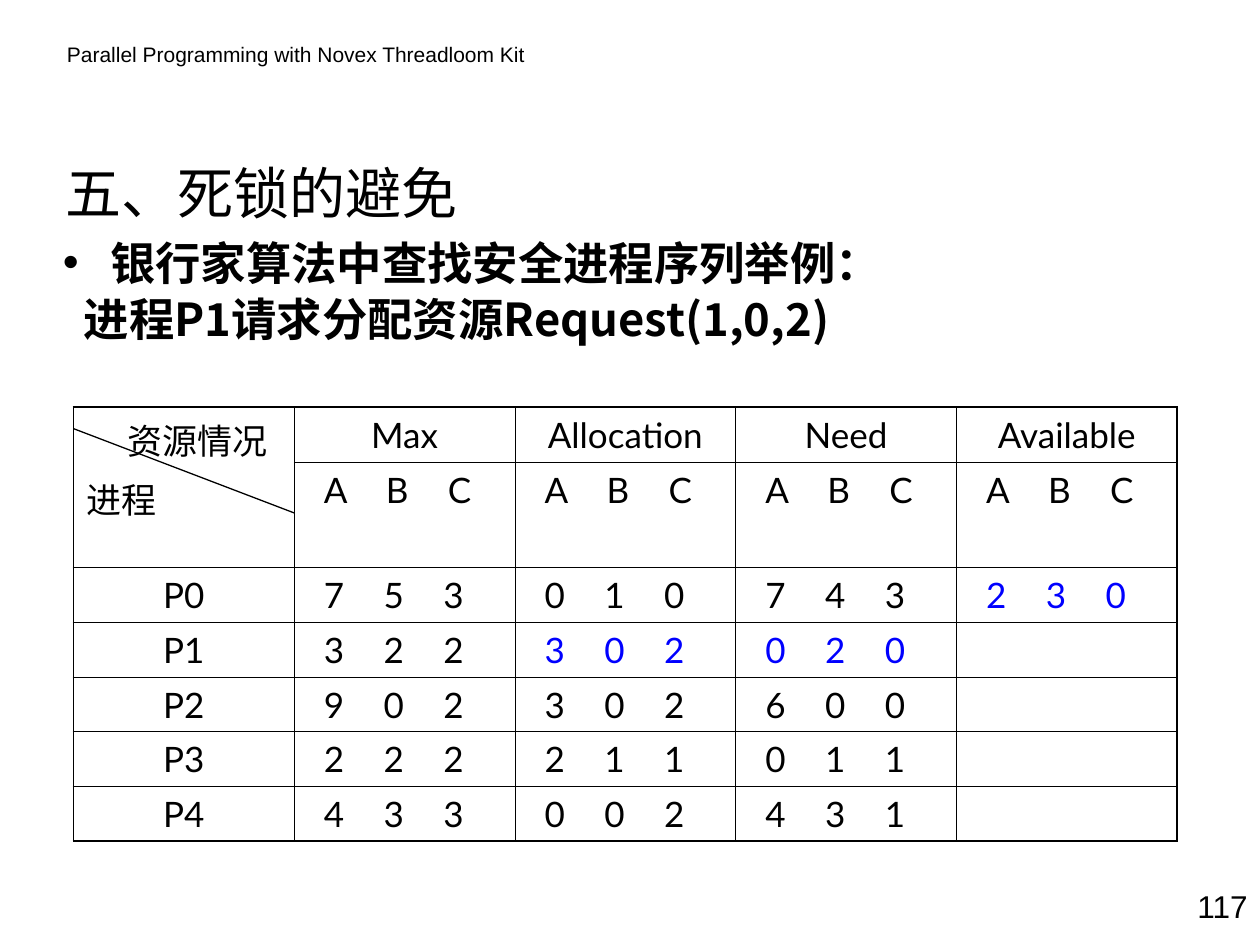
import pptx
import pptx.util
import pptx.dml.color
import pptx.enum.shapes
import pptx.enum.text
import pptx.oxml
import pptx.oxml.ns

Cm, Pt = pptx.util.Cm, pptx.util.Pt
ALIGN, ANCHOR = pptx.enum.text.PP_ALIGN, pptx.enum.text.MSO_ANCHOR
qn = pptx.oxml.ns.qn

COLORS = {"black": "000000", "changed": "0000FF"}
HAN, LATIN, SANS = "Noto Sans CJK SC", "Lato", "Arial"

HEADER = "Parallel Programming with Novex Threadloom Kit"
TITLE = "五、死锁的避免"
EXAMPLE = "银行家算法中查找安全进程序列举例："
REQUEST = "进程P1请求分配资源Request(1,0,2)"
PAGE = "117"
CORNER = ("资源情况", "进程")
GROUPS = ["Max", "Allocation", "Need", "Available"]
RESOURCES = "ABC"
PROCESSES = [
    ("P0", "753", "010", "743", "230"),
    ("P1", "322", "302", "020", ""),
    ("P2", "902", "302", "600", ""),
    ("P3", "222", "211", "011", ""),
    ("P4", "433", "002", "431", ""),
]
CHANGED = {("P0", "Available"), ("P1", "Allocation"), ("P1", "Need")}

LEFT, TOP, COL_W = 1.48, 8.21, 4.45
ROW_H = [1.11, 2.12] + [1.1] * len(PROCESSES)
OUTER, INNER = 1.08, 0.45
TRIPLE_TRACKING = 8.7


def write(tf, text, size=20, font=LATIN, color="black", bold=False, align=ALIGN.LEFT,
          before=0, spacing=None, left=0, hang=0, bullet=None, tracking=0):
    """Fill the frame's first paragraph, or add one if it already has text."""
    p = tf.paragraphs[0] if not tf.text else tf.add_paragraph()
    p.alignment, p.space_before, p.line_spacing = align, Pt(before), spacing
    pPr = p._p.get_or_add_pPr()
    pPr.set("marL", str(Cm(left)))
    pPr.set("indent", str(Cm(-hang)))
    if bullet:
        pPr.append(pptx.oxml.parse_xml(
            f'<a:buFont {pptx.oxml.ns.nsdecls("a")} typeface="{SANS}"/>'))
    bu = pPr.makeelement(qn("a:buChar" if bullet else "a:buNone"), {})
    if bullet:
        bu.set("char", bullet)
    pPr.append(bu)
    r = p.add_run()
    r.text = text
    r.font.size, r.font.name, r.font.bold = Pt(size), font, bold
    r.font.color.rgb = pptx.dml.color.RGBColor.from_string(COLORS[color])
    rPr = r._r.get_or_add_rPr()
    if tracking:
        rPr.set("spc", str(round(tracking * 100)))
    east = rPr.makeelement(qn("a:ea"), {"typeface": HAN if font == LATIN else font})
    rPr.find(qn("a:latin")).addnext(east)


def add_box(s, x, y, w, h, inset=0.25):
    tf = s.shapes.add_textbox(Cm(x), Cm(y), Cm(w), Cm(h)).text_frame
    tf.word_wrap = True
    tf.margin_left = tf.margin_right = Cm(inset)
    return tf


def set_borders(cell, widths):
    tcPr = cell._tc.get_or_add_tcPr()
    for i, (side, width) in enumerate(zip("LRTB", widths)):
        tcPr.insert(i, pptx.oxml.parse_xml(
            f'<a:ln{side} {pptx.oxml.ns.nsdecls("a")} w="{Pt(width)}"><a:solidFill>'
            f'<a:srgbClr val="{COLORS["black"]}"/></a:solidFill></a:ln{side}>'))


def write_triple(cell, values, color="black"):
    """Set the values of resources A, B and C, spread out by letter spacing."""
    cell.margin_left = Cm(0.6)
    write(cell.text_frame, " ".join(values), before=5, color=color,
          tracking=TRIPLE_TRACKING)


def add_allocation_table(s):
    n_rows, n_cols = len(ROW_H), len(GROUPS) + 1
    table = s.shapes.add_table(n_rows, n_cols, Cm(LEFT), Cm(TOP),
                               Cm(COL_W * n_cols), Cm(sum(ROW_H))).table
    table.first_row = table.horz_banding = False
    for col in table.columns:
        col.width = Cm(COL_W)
    for row, height in zip(table.rows, ROW_H):
        row.height = Cm(height)
    for i in range(n_rows):
        for j in range(n_cols):
            cell = table.cell(i, j)
            cell.fill.background()
            edges = (j == 0, j == n_cols - 1, i == 0, i == n_rows - 1)
            set_borders(cell, [OUTER if edge else INNER for edge in edges])

    corner = table.cell(0, 0)
    corner.merge(table.cell(1, 0))
    for text, left in zip(CORNER, (0.84, 0)):
        write(corner.text_frame, text, before=5, left=left)
    for j, group in enumerate(GROUPS, 1):
        write(table.cell(0, j).text_frame, group, before=5, align=ALIGN.CENTER)
        write_triple(table.cell(1, j), RESOURCES)
    for i, (process, *triples) in enumerate(PROCESSES, 2):
        write(table.cell(i, 0).text_frame, process, before=5, align=ALIGN.CENTER)
        for j, (group, digits) in enumerate(zip(GROUPS, triples), 1):
            if digits:
                color = "changed" if (process, group) in CHANGED else "black"
                write_triple(table.cell(i, j), digits, color)


def add_diagonal(s):
    line = s.shapes.add_connector(pptx.enum.shapes.MSO_CONNECTOR.STRAIGHT,
                                  Cm(LEFT), Cm(8.64), Cm(LEFT + COL_W), Cm(10.34))
    line.line.width = Pt(0.75)
    line.line.color.rgb = pptx.dml.color.RGBColor.from_string(COLORS["black"])
    spPr = line._element.spPr
    spPr.append(spPr.makeelement(qn("a:effectLst"), {}))


def main():
    prs = pptx.Presentation()
    prs.slide_width, prs.slide_height = Cm(25.4), Cm(19.05)
    s = prs.slides.add_slide(prs.slide_layouts[5])

    title = s.shapes.title
    title.left, title.top, title.width, title.height = Cm(1.07), Cm(2.92), Cm(22.86), Cm(1.9)
    title.text_frame.vertical_anchor = ANCHOR.MIDDLE
    write(title.text_frame, TITLE, size=32, font=HAN)

    write(add_box(s, 1.1, 0.72, 10.41, 0.76), HEADER, size=12, font=SANS)

    body = add_box(s, 1.27, 4.83, 24.13, 2.34, inset=0)
    style = dict(size=25.9, font=HAN, bold=True, before=7, spacing=0.8)
    write(body, EXAMPLE, left=0.95, hang=0.95, bullet="•", **style)
    write(body, REQUEST, left=0.42, **style)

    add_allocation_table(s)
    add_diagonal(s)
    write(add_box(s, 23.06, 17.75, 2.34, 1.02), PAGE, size=18, font=SANS,
          align=ALIGN.RIGHT, before=11.2)
    prs.save("out.pptx")


if __name__ == "__main__":
    main()
